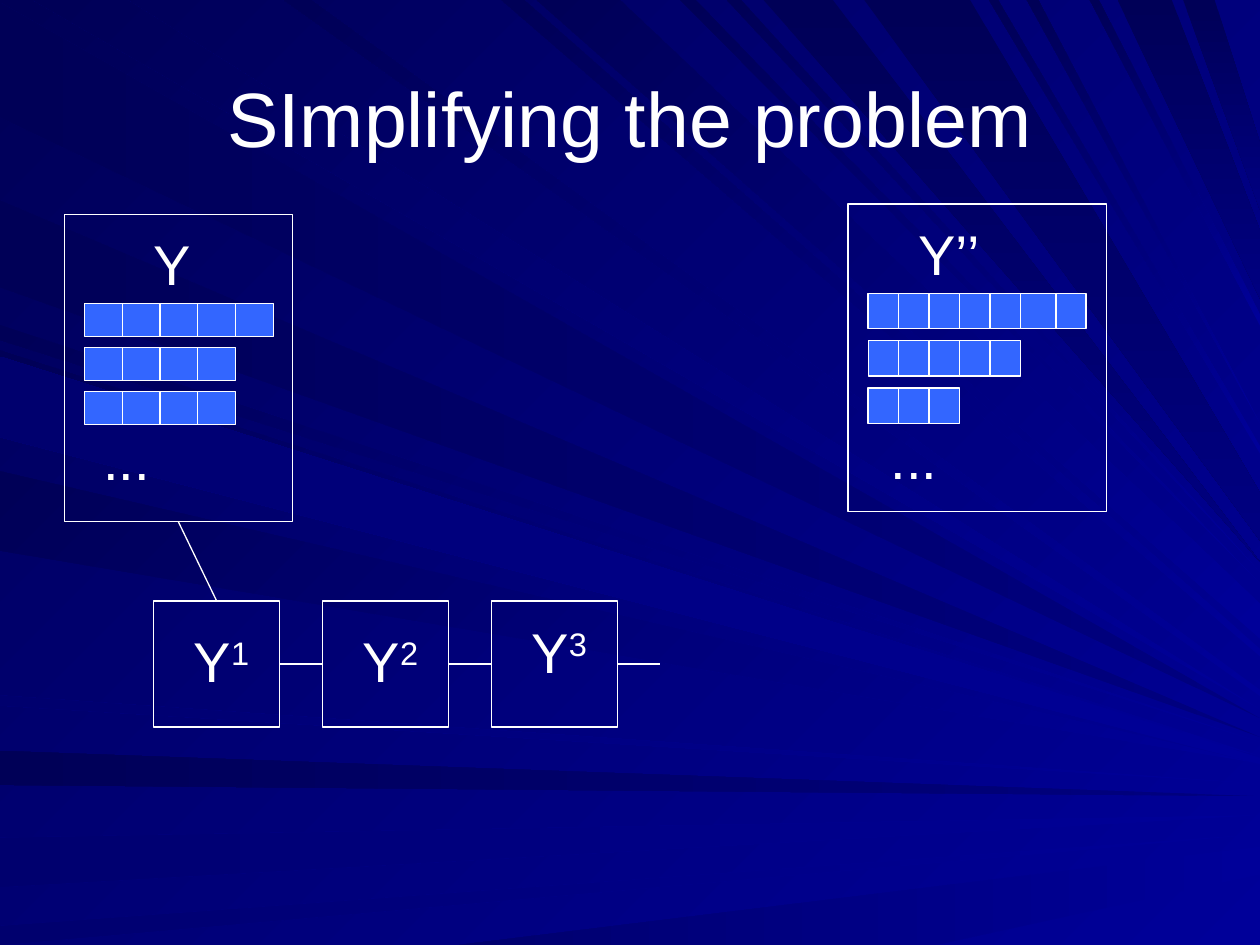
from itertools import accumulate

from lxml import etree
from pptx import Presentation
from pptx.dml.color import RGBColor
from pptx.enum.shapes import MSO_CONNECTOR, MSO_SHAPE
from pptx.enum.text import MSO_ANCHOR, MSO_AUTO_SIZE, PP_ALIGN
from pptx.oxml.ns import qn
from pptx.util import Inches, Pt

STRAIGHT = MSO_CONNECTOR.STRAIGHT
RECTANGLE = MSO_SHAPE.RECTANGLE
TOP, LEFT, BOTTOM, RIGHT = range(4)
SLIDE_WIDTH, SLIDE_HEIGHT = 10, 7.5

FONT = "Arial"
COLORS = {
    "white": "FFFFFF",
    "cell": "3366FF",
    "bright": "000099",
    "middle": "000080",
    "dusk": "00006E",
    "dark": "000057",
}

# Ray styles: first colour, last colour, clockwise gradient angle.
STYLES = {
    "glow": ("bright", "dark", 225),
    "calm": ("bright", "dusk", 180),
    "haze": ("middle", "dark", 180),
    "shade": ("dark", "middle", 90),
}

# Each ray: start and end along its edge, height of its tip on the right side,
# style and, for a blunt tip, the height of that tip.
LEFT_RAYS = [
    (0.02, 0.93, 5.7, "haze"),
    (5.96, 6.23, 6.32, "haze"),
    (6.65, 7.04, 6.47, "calm"),
    (7.35, 7.5, 6.62, "calm"),
    (2.58, 2.7, 5.89, "glow"),
    (1.59, 2.28, 5.85, "haze"),
    (2.78, 3.42, 6, "glow"),
    (3.74, 4.37, 6.06, "glow"),
    (5.52, 5.6, 6.22, "calm"),
    (2.83, 3.47, 6.04, "calm", 0.05),
]
TOP_RAYS = [
    (0.26, 1.01, 5.63, "glow"),
    (3.98, 4.16, 5.18, "glow", 0.06),
    (4.26, 4.92, 4.93, "glow", 0.28),
    (5.4, 5.52, 4.63, "glow"),
    (6.06, 6.61, 4.46, "shade"),
    (8.87, 9.3, 2.1, "shade", 0.54),
    (9.39, 9.64, 1.4, "shade", 0.53),
    (2.25, 2.47, 5.5, "glow", 0.05),
    (5.77, 5.88, 4.54, "glow"),
    (6.86, 7.7, 4.1, "shade", 0.38),
    (7.85, 7.92, 3.57, "glow", 0.06),
    (8.15, 8.24, 3.36, "glow"),
    (8.65, 8.72, 2.54, "glow", 0.09),
]
BOTTOM_RAYS = [(3.64, 7.42, 6.83, "calm", 0.22)]


def rgb(name):
    return RGBColor.from_string(COLORS[name])


def set_gradient(fill, first, last, angle):
    """Fill with a two-colour gradient whose angle runs clockwise."""
    fill.gradient()
    fill.gradient_angle = 360 - angle
    for stop, color in zip(fill.gradient_stops, (first, last)):
        stop.color.rgb = rgb(color)


def set_outline(line):
    line.color.rgb = rgb("white")
    line.width = Pt(0.75)


def format_runs(paragraph, size):
    for run in paragraph.runs:
        run.font.name = FONT
        run.font.size = Pt(size)
        run.font.color.rgb = rgb("white")


def add_ray(shapes, edge_start, edge_end, tip, style, blunt=0):
    """Draw a wedge from two edge points to a tip on the right side."""
    corners = [edge_start, edge_end, (SLIDE_WIDTH, tip - blunt / 2)]
    if blunt:
        corners.append((SLIDE_WIDTH, tip + blunt / 2))
        if edge_start[0] == 0 or edge_start[1] == SLIDE_HEIGHT:
            corners[2:] = reversed(corners[2:])
    points = [(Inches(x), Inches(y)) for x, y in corners]
    builder = shapes.build_freeform(*points[0])
    builder.add_line_segments(points[1:], close=True)
    ray = builder.convert_to_shape()
    set_gradient(ray.fill, *STYLES[style])
    ray.line.fill.background()
    ray.shadow.inherit = False


def add_rays(slide):
    """Draw the rays as one group behind the title."""
    group = slide.shapes.add_group_shape()
    for start, end, *ray in LEFT_RAYS:
        add_ray(group.shapes, (0, start), (0, end), *ray)
    for y, rays in ((0, TOP_RAYS), (SLIDE_HEIGHT, BOTTOM_RAYS)):
        for start, end, *ray in rays:
            add_ray(group.shapes, (start, y), (end, y), *ray)
    slide.shapes.title._element.addprevious(group._element)


def add_title(slide, text):
    title = slide.shapes.title
    title.left, title.top = Inches(0.5), Inches(0.3)
    title.width, title.height = Inches(9), Inches(1.25)
    frame = title.text_frame
    frame.text = text
    frame.vertical_anchor = MSO_ANCHOR.MIDDLE
    frame.paragraphs[0].alignment = PP_ALIGN.CENTER
    format_runs(frame.paragraphs[0], 44)


def add_box(shapes, left, top, width, height, color=None):
    box = shapes.add_shape(RECTANGLE, Inches(left), Inches(top), Inches(width), Inches(height))
    box.shadow.inherit = False
    if color:
        box.fill.solid()
        box.fill.fore_color.rgb = rgb(color)
    else:
        box.fill.background()
    set_outline(box.line)
    return box


def add_line(shapes, x1, y1, x2, y2):
    line = shapes.add_connector(STRAIGHT, Inches(x1), Inches(y1), Inches(x2), Inches(y2))
    set_outline(line.line)
    etree.SubElement(line._element.spPr, qn("a:effectLst"))
    return line


def add_label(shapes, left, top, width, text, superscript=""):
    label = shapes.add_textbox(Inches(left), Inches(top), Inches(width), Inches(0.64))
    frame = label.text_frame
    frame.word_wrap = False
    frame.auto_size = MSO_AUTO_SIZE.SHAPE_TO_FIT_TEXT
    paragraph = frame.paragraphs[0]
    paragraph.text = text
    if superscript:
        raised = paragraph.add_run()
        raised.text = superscript
        raised.font._element.set("baseline", "30000")
    format_runs(paragraph, 32)


def add_sequences(slide, left, top, pitch, height, rows, dots):
    """Stack bars split into cells; each row lists its cell widths."""
    shapes = slide.shapes.add_group_shape().shapes
    for index, cells in enumerate(rows):
        y = top + index * pitch
        add_box(shapes, left, y, sum(cells), height, "cell")
        for offset in accumulate(cells[:-1]):
            add_line(shapes, left + offset, y, left + offset, y + height)
    add_label(shapes, *dots, 0.57, "...")


def main():
    prs = Presentation()
    prs.slide_width, prs.slide_height = Inches(SLIDE_WIDTH), Inches(SLIDE_HEIGHT)
    slide = prs.slides.add_slide(prs.slide_layouts[5])
    shapes = slide.shapes
    set_gradient(slide.background.fill, *STYLES["glow"])
    add_rays(slide)
    add_title(slide, "SImplifying the problem")

    cell = 0.3
    add_sequences(slide, 0.67, 2.41, 0.35, 0.26,
                  [[cell] * 5, [cell] * 4, [cell] * 4], (0.72, 3.32))
    y_box = add_box(shapes, 0.51, 1.7, 1.81, 2.44)
    add_label(shapes, 1.12, 1.77, 0.49, "Y")

    cell = 1.21 / 5
    add_sequences(slide, 6.89, 2.33, 0.75 / 2, 0.28,
                  [[cell] * 5 + [0.28, 0.24], [cell] * 5, [cell] * 3], (6.97, 3.31))
    add_box(shapes, 6.73, 1.62, 2.05, 2.44)
    add_label(shapes, 7.19, 1.69, 0.69, "Y’’")

    parts = []
    for index, label_top in enumerate((4.92, 4.92, 4.85)):
        left = 1.22 + 1.34 * index
        parts.append(add_box(shapes, left, 4.77, 1, 1))
        add_label(shapes, left + 0.22, label_top, 0.64, "Y", str(index + 1))

    branch = add_line(shapes, 1.38, 4.14, 1.69, 4.77)
    branch.begin_connect(y_box, BOTTOM)
    branch.end_connect(parts[0], TOP)
    for index, part in enumerate(parts):
        right = 2.22 + 1.34 * index
        link = add_line(shapes, right, 5.27, right + 0.34, 5.27)
        link.begin_connect(part, RIGHT)
        if index + 1 < len(parts):
            link.end_connect(parts[index + 1], LEFT)

    prs.save("out.pptx")


if __name__ == "__main__":
    main()
